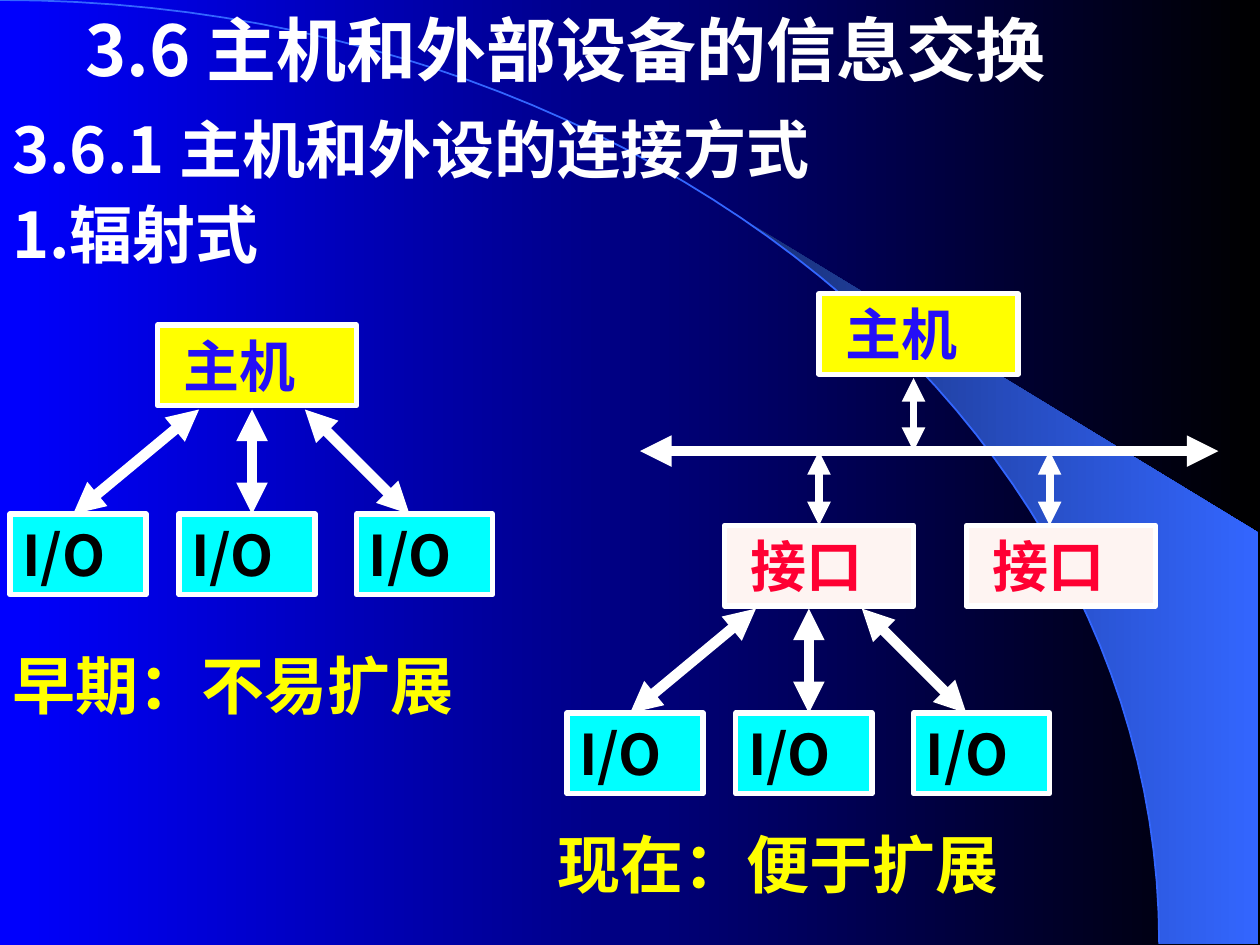
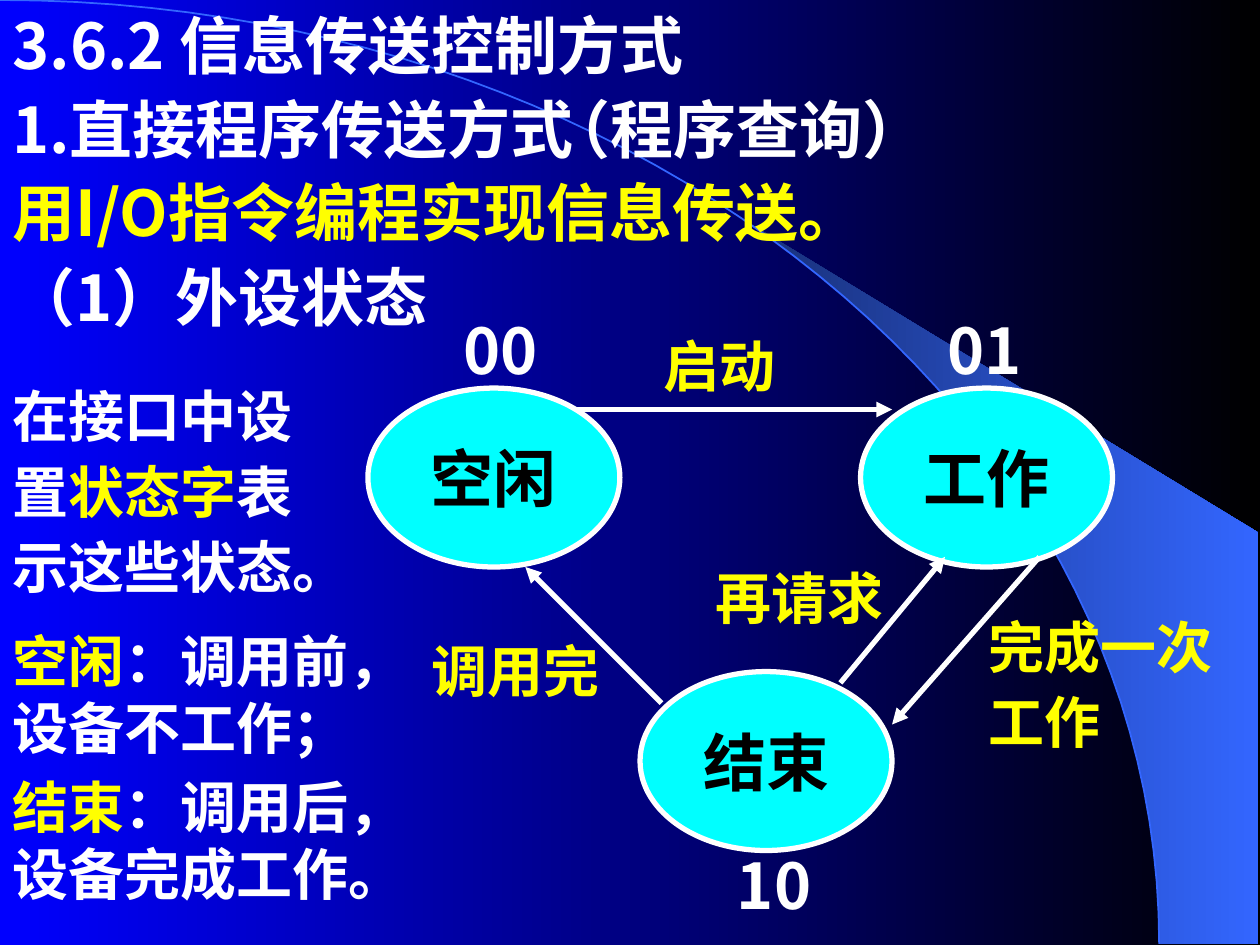
from lxml import etree
from pptx import Presentation
from pptx.dml.color import RGBColor
from pptx.enum import shapes, text
from pptx.oxml.ns import qn
from pptx.util import Inches, Pt

COLORS = {
    "white": "FFFFFF", "black": "000000", "yellow": "FFFF00", "cyan": "00FFFF",
    "blue": "0000FF", "host_text": "250FF7", "port_fill": "FEF4F2",
    "port_text": "FF0033", "wing_dark": "182F76", "wing_light": "3366FF",
}
SANS, SERIF = "Noto Sans CJK SC", "Times New Roman"
HEADING, LABEL = 36, 32
UNIT_SIZE = (1.08, 0.64)
STATE_SIZE = (2, 1.42)


def color(name):
    return RGBColor.from_string(COLORS[name])


def place(shape, box):
    shape.left, shape.top, shape.width, shape.height = map(Inches, box)


def paint_gradient(fill, first, last):
    fill.gradient()
    fill.gradient_angle = 0
    for stop, name in zip(fill.gradient_stops, (first, last)):
        stop.color.rgb = color(name)


# ---- Text ----
def write(shape, lines, size, tint, face, spacing=None, align=text.PP_ALIGN.LEFT,
          anchor=text.MSO_ANCHOR.TOP, before=True, indent=0):
    """Fill a shape; a line is a string or a list of (words, colour) spans."""
    frame = shape.text_frame
    frame.word_wrap = True
    frame.vertical_anchor = anchor
    frame.margin_left = Inches(0.1 + indent)
    frame.margin_right = Inches(0.1)
    frame.margin_top = frame.margin_bottom = Inches(0.05)
    for index, line in enumerate(lines):
        para = frame.add_paragraph() if index else frame.paragraphs[0]
        para.alignment = align
        para.space_before = Pt(size * 0.625 if before else 0)
        if spacing:
            para.line_spacing = spacing
        para.font.name, para.font.size, para.font.bold = face, Pt(size), True
        para.font.color.rgb = color(tint)
        default = para._p.pPr.find(qn("a:defRPr"))
        east_asian = etree.Element(qn("a:ea"), typeface=SANS)
        default.find(qn("a:latin")).addnext(east_asian)
        spans = [(line, None)] if isinstance(line, str) else line
        for words, span_tint in spans:
            span = para.add_run()
            span.text = words
            if span_tint:
                span.font.color.rgb = color(span_tint)


def add_text(page, box, lines, size=HEADING, tint="white", face=SANS, spacing=None):
    label = page.shapes.add_textbox(*map(Inches, box))
    write(label, lines, size, tint, face, spacing)
    label.text_frame.auto_size = text.MSO_AUTO_SIZE.SHAPE_TO_FIT_TEXT


def set_title(page, box, words, size):
    title = page.shapes.title
    place(title, box)
    write(title, [words], size, "white", SANS)
    title.text_frame.auto_size = text.MSO_AUTO_SIZE.SHAPE_TO_FIT_TEXT


# ---- Shapes and arrows ----
def add_node(page, kind, box, fill):
    node = page.shapes.add_shape(kind, *map(Inches, box))
    node.shadow.inherit = False
    node.fill.solid()
    node.fill.fore_color.rgb = color(fill)
    node.line.color.rgb = color("white")
    node.line.width = Pt(3)
    return node


def add_block(page, box, words, fill, tint, face=SERIF, indent=0.11):
    block = add_node(page, shapes.MSO_SHAPE.RECTANGLE, box, fill)
    write(block, [words], LABEL, tint, face, indent=indent)
    return block


def add_arrow(page, start, end, width, both=True):
    arrow = page.shapes.add_connector(
        shapes.MSO_CONNECTOR.STRAIGHT, *map(Inches, (*start, *end)))
    arrow.line.color.rgb = color("white")
    arrow.line.width = Pt(width)
    properties = arrow._element.spPr
    outline = properties.find(qn("a:ln"))
    for tip in ("a:headEnd", "a:tailEnd") if both else ("a:tailEnd",):
        etree.SubElement(outline, qn(tip), type="triangle")
    etree.SubElement(properties, qn("a:effectLst"))
    return arrow


# ---- Master: gradient background, arc and wing ----
def arc_point(t):
    s = 1 - t
    return (3 * s * s * t * 5.08 + 3 * s * t * t * 9.2 + t ** 3 * 9.2,
            3 * s * t * t * 3.35 + t ** 3 * 7.49)


def draw_outline(page, points, close):
    start, *rest = [tuple(map(Inches, point)) for point in points]
    builder = page.shapes.build_freeform(*start)
    builder.add_line_segments(rest, close=close)
    outline = builder.convert_to_shape()
    outline.shadow.inherit = False
    return outline


def decorate_master(deck, page):
    master = deck.slide_master
    paint_gradient(master.background.fill, "blue", "black")
    curve = [arc_point(step / 50) for step in range(51)]
    wing = draw_outline(page, curve[22:] + [(9.99, 7.49), (9.99, 4.23)], True)
    paint_gradient(wing.fill, "wing_dark", "wing_light")
    wing.line.fill.background()
    arc = draw_outline(page, curve, False)
    arc.fill.background()
    arc.line.color.rgb = color("wing_light")
    arc.line.width = Pt(1)
    # Move both outlines behind the master's placeholders
    for index, outline in enumerate((wing, arc)):
        outline._element.nvSpPr.cNvPr.set("id", str(101 + index))
        master.shapes._spTree.insert(2 + index, outline._element)


# ---- Slide 1: ways to connect host and devices ----
def add_host(page, left, top):
    add_block(page, (left, top, 1.58, 0.64), "主机", "yellow", "host_text")


def add_device_fan(page, left, top):
    """Three arrows spreading down to three I/O units."""
    drop = 0.83
    for start, end in ((1.5, 0.5), (1.92, 1.92), (2.34, 3.17)):
        add_arrow(page, (left + start, top), (left + end, top + drop), 6)
    for offset in (0, 1.34, 2.75):
        add_block(page, (left + offset, top + drop, *UNIT_SIZE), "I/O",
                  "cyan", "black", SANS, indent=0)


def add_bus_system(page, left, top):
    """Host above a bus, with two interfaces below it."""
    bus, port_top = top + 1.25, top + 1.84
    add_host(page, left + 1.42, top)
    ports = [add_block(page, (left + offset, port_top, 1.5, 0.64), "接口",
                       "port_fill", "port_text") for offset in (0.67, 2.59)]
    add_arrow(page, (left, bus), (left + 4.59, bus), 6)
    add_arrow(page, (left + 2.17, top + 0.67), (left + 2.17, bus), 4.5)
    to_first = add_arrow(page, (left + 1.42, bus), (left + 1.42, port_top), 4.5)
    to_first.end_connect(ports[0], 0)
    add_arrow(page, (left + 3.25, bus), (left + 3.25, port_top), 4.5)


def build_connection_slide(page):
    set_title(page, (0.58, 0, 9.42, 0.77), "3.6 主机和外部设备的信息交换", 40)
    add_text(page, (0, 0.83, 7.5, 0.7), ["3.6.1 主机和外设的连接方式"])
    add_text(page, (0, 1.5, 7.5, 0.7), ["1.辐射式"])
    # Early: radial
    add_host(page, 1.25, 2.58)
    add_device_fan(page, 0.08, 3.25)
    add_text(page, (0, 5.08, 4.17, 0.7), ["早期：不易扩展"], tint="yellow", face=SERIF)
    # Now: bus
    add_bus_system(page, 5.08, 2.33)
    add_device_fan(page, 4.5, 4.83)
    add_text(page, (4.33, 6.5, 4.17, 0.7), ["现在：便于扩展"], tint="yellow", face=SERIF)


# ---- Slide 2: device states ----
def add_state(page, left, top, words, code, code_at):
    state = add_node(page, shapes.MSO_SHAPE.OVAL, (left, top, *STATE_SIZE), "cyan")
    write(state, [words], HEADING, "black", SERIF, align=text.PP_ALIGN.CENTER,
          anchor=text.MSO_ANCHOR.MIDDLE, before=False)
    add_text(page, (left + code_at[0], top + code_at[1], 1, 0.7), [code])


def add_state_diagram(page, left, top):
    for x, y, words, code, code_at in (
            (0, 0, "空闲", "00", (0.66, -0.66)),
            (3.91, 0, "工作", "01", (0.59, -0.66)),
            (2.16, 2.25, "结束", "10", (0.67, 1.34))):
        add_state(page, left + x, top + y, words, code, code_at)
    # Transitions
    for x1, y1, x2, y2 in ((1.66, 0.17, 4.16, 0.17), (5.33, 1.34, 4.16, 2.67),
                           (2.33, 2.5, 1.25, 1.42), (3.75, 2.34, 4.58, 1.34)):
        add_arrow(page, (left + x1, top + y1), (left + x2, top + y2), 3, both=False)
    for x, y, words in ((2.25, -0.5, "启动"), (0.41, 1.92, "调用完"),
                        (2.66, 1.34, "再请求")):
        add_text(page, (left + x, top + y, 2, 0.64), [words], LABEL, "yellow", SERIF)
    add_text(page, (left + 4.83, top + 1.92, 2.25, 1.02), ["完成一次", "工作"],
             LABEL, "yellow", SERIF, 0.6)


def add_state_notes(page, left, top):
    word_lines = ["在接口中设",
                  [("置", None), ("状态字", "yellow"), ("表", None)],
                  "示这些状态。"]
    add_text(page, (left, top, 3.5, 1.62), word_lines, LABEL, face=SERIF, spacing=0.6)
    for offset, term, meaning in ((1.75, "空闲", "：调用前，设备不工作；"),
                                  (2.91, "结束", "：调用后，设备完成工作。")):
        add_text(page, (left, top + offset, 3.5, 1.17),
                 [[(term, "yellow"), (meaning, None)]], LABEL, face=SERIF)


def build_control_slide(page):
    set_title(page, (0, 0, 7.5, 0.7), "3.6.2 信息传送控制方式", HEADING)
    add_text(page, (0, 0.67, 7.5, 0.7), ["1.直接程序传送方式"])
    add_text(page, (4.25, 0.67, 4.33, 0.7), ["（程序查询）"])
    add_text(page, (0, 1.33, 7.5, 0.7), ["用I/O指令编程实现信息传送。"], tint="yellow")
    add_text(page, (0, 2, 4.67, 0.7), ["（1）外设状态"])
    add_state_diagram(page, 2.92, 3.08)
    add_state_notes(page, 0, 3.17)


def main():
    deck = Presentation()
    deck.slide_width, deck.slide_height = Inches(10), Inches(7.5)
    title_only = deck.slide_layouts[5]
    pages = [deck.slides.add_slide(title_only) for _ in range(2)]
    decorate_master(deck, pages[0])
    build_connection_slide(pages[0])
    build_control_slide(pages[1])
    deck.save("out.pptx")


if __name__ == "__main__":
    main()
